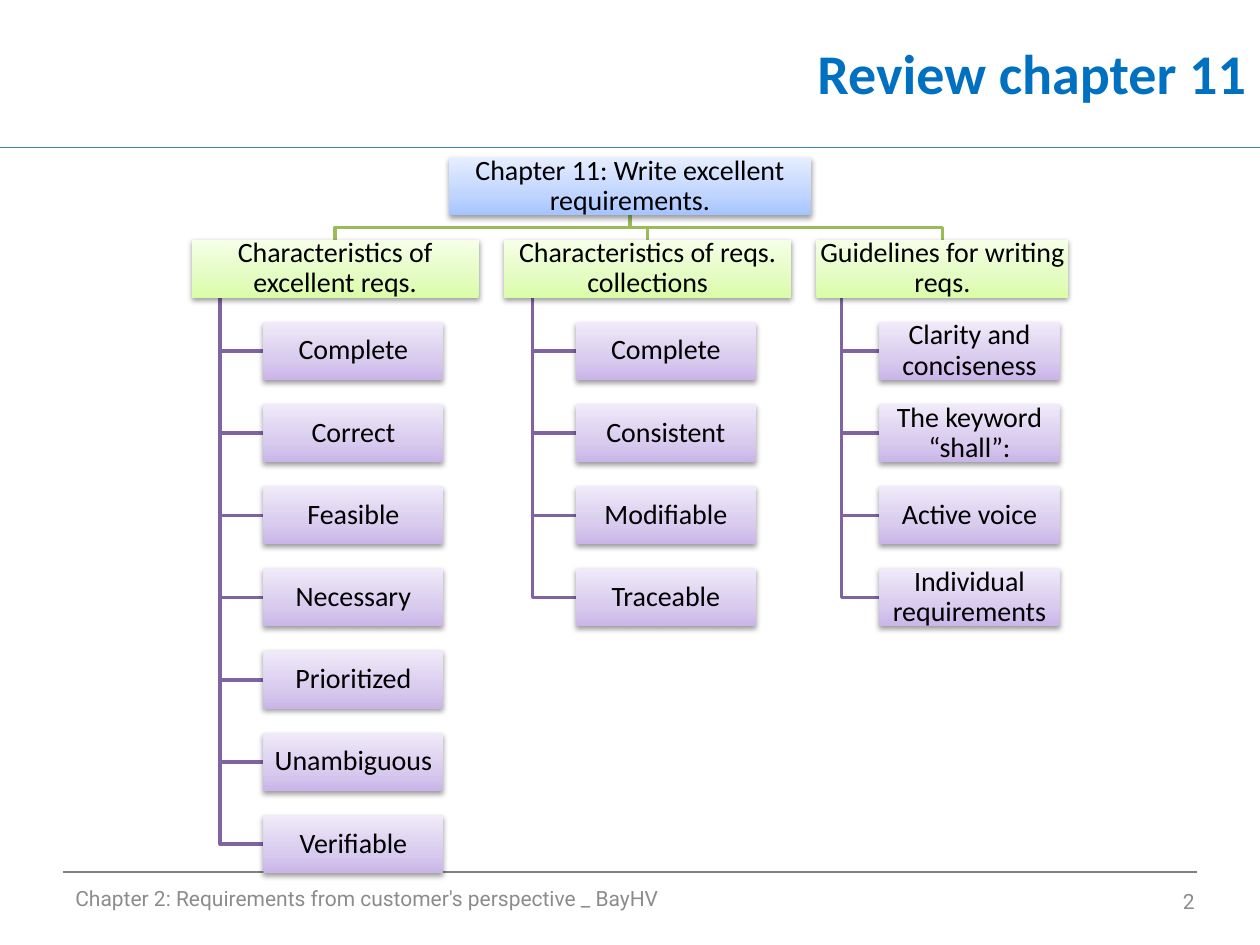
"""Build the chapter 11 review slide: a three-branch hierarchy of requirement topics."""
import copy
from dataclasses import dataclass

import lxml.etree
import pptx
import pptx.dml.color
import pptx.enum.shapes
import pptx.enum.text
import pptx.oxml.ns
import pptx.util

Inches = pptx.util.Inches
Pt = pptx.util.Pt
RGBColor = pptx.dml.color.RGBColor
Align = pptx.enum.text.PP_ALIGN
qn = pptx.oxml.ns.qn

BLACK = RGBColor(0x00, 0x00, 0x00)
TITLE_BLUE = RGBColor(0x00, 0x70, 0xC0)
RULE_BLUE = RGBColor(0x4B, 0x7E, 0xBC)
RULE_GRAY = RGBColor(0x80, 0x80, 0x80)
FOOTER_GRAY = RGBColor(0x8C, 0x8C, 0x8C)
GREEN = RGBColor(0x9B, 0xBB, 0x59)
PURPLE = RGBColor(0x80, 0x64, 0xA2)
BLUE_FADE = (RGBColor(0xA4, 0xC4, 0xFF), RGBColor(0xBF, 0xD4, 0xFF), RGBColor(0xE6, 0xEE, 0xFF))
GREEN_FADE = (RGBColor(0xDA, 0xFD, 0xA7), RGBColor(0xE4, 0xFC, 0xC2), RGBColor(0xF5, 0xFF, 0xE7))
PURPLE_FADE = (RGBColor(0xC9, 0xB5, 0xE8), RGBColor(0xD8, 0xCB, 0xEE), RGBColor(0xF0, 0xEA, 0xF9))
FADE_POSITIONS = (0, 0.35, 1)

CENTER = 5
ROOT_TOP = 1.25
ROOT_WIDTH = 2.88
ROW_PITCH = (6.47 - ROOT_TOP) / 8
BOX_HEIGHT = 0.46
TOPIC_WIDTH = 1.43


@dataclass(frozen=True)
class Branch:
    heading: str
    left: float
    width: float
    topics: tuple[str, ...]


BRANCHES = (
    Branch("Characteristics of excellent reqs.", 1.52, 2.28,
           ("Complete", "Correct", "Feasible", "Necessary", "Prioritized", "Unambiguous", "Verifiable")),
    Branch("Characteristics of reqs. collections", 4, 2.28,
           ("Complete", "Consistent", "Modifiable", "Traceable")),
    Branch("Guidelines for writing reqs.", 6.48, 2,
           ("Clarity and conciseness", "The keyword “shall”:", "Active voice", "Individual requirements")),
)


def row_top(row: int) -> float:
    return ROOT_TOP + row * ROW_PITCH


def write(frame, text: str, font: str, size: float, color: RGBColor, align, bold: bool = False):
    frame.word_wrap = True
    frame.vertical_anchor = pptx.enum.text.MSO_ANCHOR.MIDDLE
    paragraph = frame.paragraphs[0]
    paragraph.text = text
    paragraph.alignment = align
    paragraph.font.name = font
    paragraph.font.size = Pt(size)
    paragraph.font.bold = bold
    paragraph.font.color.rgb = color
    return paragraph


def add_label(slide, left: float, top: float, width: float, height: float, *style) -> None:
    label = slide.shapes.add_textbox(Inches(left), Inches(top), Inches(width), Inches(height))
    write(label.text_frame, *style)


def add_rule(slide, left: float, right: float, top: float, color: RGBColor) -> None:
    rule = slide.shapes.add_connector(
        pptx.enum.shapes.MSO_CONNECTOR.STRAIGHT, Inches(left), Inches(top), Inches(right), Inches(top))
    rule.line.color.rgb = color
    rule.line.width = Pt(0.75)
    lxml.etree.SubElement(rule._element.spPr, qn("a:effectLst"))


def add_branch_line(slide, points: list[tuple[float, float]], color: RGBColor) -> None:
    start, *rest = [(Inches(x), Inches(y)) for x, y in points]
    builder = slide.shapes.build_freeform(*start)
    builder.add_line_segments(rest, close=False)
    branch_line = builder.convert_to_shape()
    branch_line.fill.background()
    branch_line.line.color.rgb = color
    branch_line.line.width = Pt(2)
    branch_line.shadow.inherit = False


def add_drop_shadow(shape) -> None:
    shape.shadow.inherit = False
    effects = shape._element.spPr.find(qn("a:effectLst"))
    shadow = lxml.etree.SubElement(
        effects, qn("a:outerShdw"), blurRad="40000", dist="20000", dir="5400000", rotWithShape="0")
    black = lxml.etree.SubElement(shadow, qn("a:srgbClr"), val="000000")
    lxml.etree.SubElement(black, qn("a:alpha"), val="38000")


def add_box(slide, text: str, left: float, top: float, width: float, fade: tuple[RGBColor, ...]) -> None:
    box = slide.shapes.add_shape(
        pptx.enum.shapes.MSO_SHAPE.RECTANGLE, Inches(left), Inches(top), Inches(width), Inches(BOX_HEIGHT))
    box.line.fill.background()
    box.fill.gradient()
    box.fill.gradient_angle = 90
    stops = box._element.spPr.find(".//" + qn("a:gsLst"))
    stops.append(copy.deepcopy(stops[0]))
    for stop, position, color in zip(box.fill.gradient_stops, FADE_POSITIONS, fade):
        stop.position = position
        stop.color.rgb = color
    add_drop_shadow(box)
    frame = box.text_frame
    frame.margin_left = frame.margin_right = frame.margin_top = frame.margin_bottom = Inches(0.01)
    write(frame, text, "Calibri", 16, BLACK, Align.CENTER).line_spacing = 0.9


def add_branch_lines(slide, branch: Branch) -> None:
    trunk = branch.left + branch.width / 10
    topic_left = branch.left + branch.width / 4
    heading_bottom = row_top(1) + BOX_HEIGHT
    for row in range(len(branch.topics) + 1, 1, -1):
        middle = row_top(row) + BOX_HEIGHT / 2
        add_branch_line(slide, [(trunk, heading_bottom), (trunk, middle), (topic_left, middle)], PURPLE)
    root_bottom = row_top(0) + BOX_HEIGHT
    fork = (root_bottom + row_top(1)) / 2
    heading_center = branch.left + branch.width / 2
    add_branch_line(slide, [(CENTER, root_bottom), (CENTER, fork), (heading_center, fork),
                            (heading_center, row_top(1))], GREEN)


def add_branch_boxes(slide, branch: Branch) -> None:
    add_box(slide, branch.heading, branch.left, row_top(1), branch.width, GREEN_FADE)
    for row, topic in enumerate(branch.topics, start=2):
        add_box(slide, topic, branch.left + branch.width / 4, row_top(row), TOPIC_WIDTH, PURPLE_FADE)


def main() -> None:
    deck = pptx.Presentation()
    deck.slide_width, deck.slide_height = Inches(10), Inches(7.5)
    slide = deck.slides.add_slide(deck.slide_layouts[6])
    add_rule(slide, 0, 10, 1.17, RULE_BLUE)
    add_rule(slide, 0.5, 9.5, 6.92, RULE_GRAY)
    add_label(slide, 2.9, 0, 7.09, 1.15, "Review chapter 11", "Calibri", 32, TITLE_BLUE, Align.RIGHT, True)
    add_label(slide, 0.5, 6.93, 6.67, 0.4, "Chapter 2: Requirements from customer's perspective _ BayHV",
              "Roboto", 12, FOOTER_GRAY, Align.LEFT)
    add_label(slide, 7.25, 6.95, 2.33, 0.4, "2", "Roboto", 12, FOOTER_GRAY, Align.RIGHT)
    for branch in reversed(BRANCHES):
        add_branch_lines(slide, branch)
    add_box(slide, "Chapter 11: Write excellent requirements.", CENTER - ROOT_WIDTH / 2, row_top(0),
            ROOT_WIDTH, BLUE_FADE)
    for branch in BRANCHES:
        add_branch_boxes(slide, branch)
    deck.save("out.pptx")


if __name__ == "__main__":
    main()
